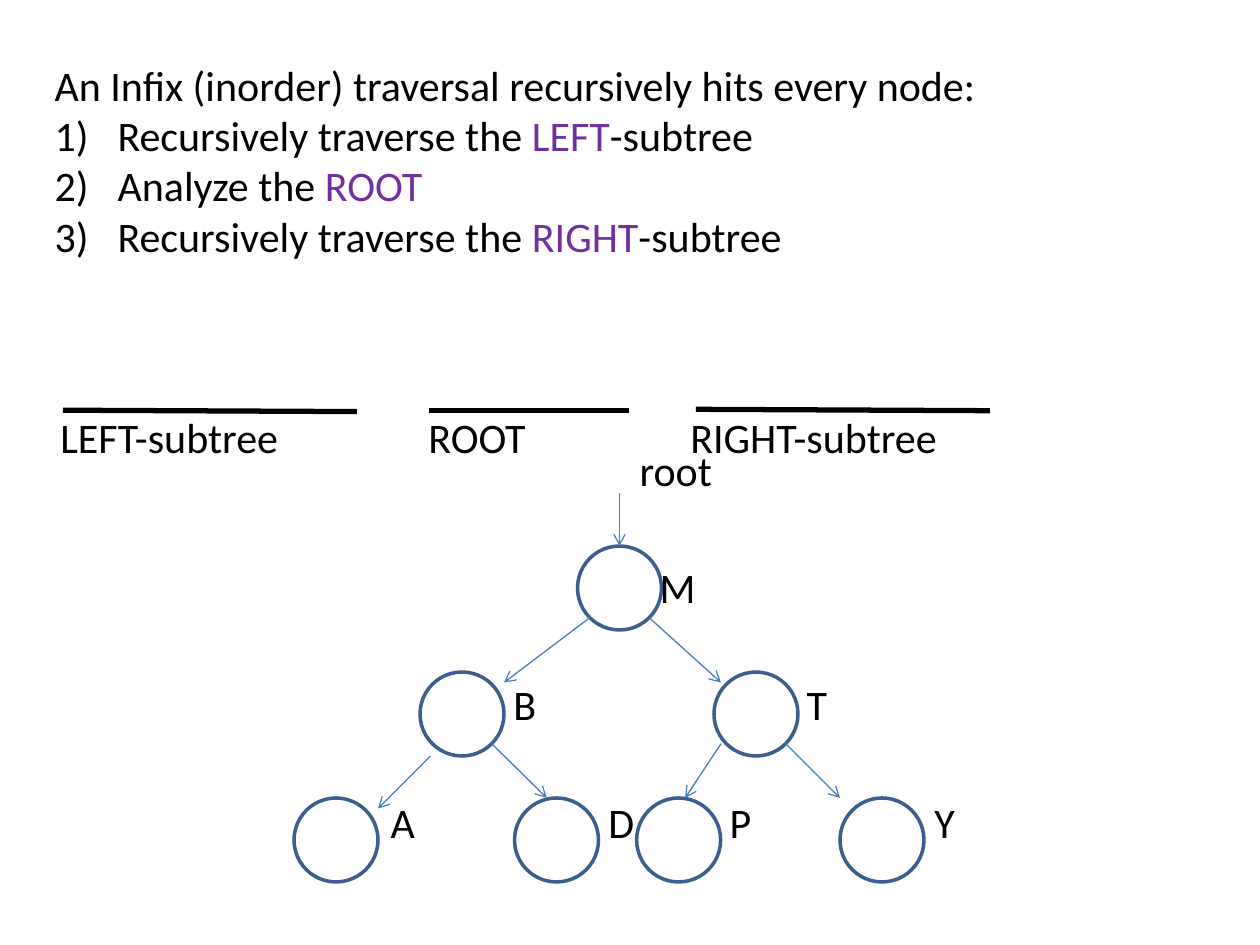
from lxml import etree
from pptx import Presentation
from pptx.dml.color import RGBColor
from pptx.enum.shapes import MSO_CONNECTOR, MSO_SHAPE
from pptx.oxml.ns import qn
from pptx.util import Pt

OVAL = MSO_SHAPE.OVAL
STRAIGHT = MSO_CONNECTOR.STRAIGHT
COLORS = {"text": "000000", "key": "7030A0", "ring": "3A5F8C", "edge": "4B7EBC"}
FONT = "Calibri"
SIZE = 24

deck = Presentation()
deck.slide_width, deck.slide_height = Pt(720), Pt(540)
slide = deck.slides.add_slide(deck.slide_layouts[6])
shapes = slide.shapes


def write(paras, left, top, width, height, size=SIZE, number_from=None):
    """Add a text box; each paragraph is a list of (text, color) runs."""
    box = shapes.add_textbox(Pt(left), Pt(top), Pt(width), Pt(height))
    frame = box.text_frame
    frame.word_wrap = True
    frame.margin_left = frame.margin_right = 0
    frame.margin_top = frame.margin_bottom = 0
    for i, runs in enumerate(paras):
        para = frame.paragraphs[0] if i == 0 else frame.add_paragraph()
        for text, color in runs:
            run = para.add_run()
            run.text = text
            run.font.name, run.font.size = FONT, Pt(size)
            run.font.color.rgb = RGBColor.from_string(COLORS[color])
        if number_from is not None and i >= number_from:
            props = para._p.get_or_add_pPr()
            props.set("marL", str(Pt(36)))
            props.set("indent", str(-Pt(36)))
            etree.SubElement(props, qn("a:buFont"), typeface="+mj-lt")
            etree.SubElement(props, qn("a:buAutoNum"), type="arabicParenR")


def draw_line(start, end, color, weight, arrow=False):
    """Add a straight line, with an open arrowhead at its end if asked."""
    line = shapes.add_connector(STRAIGHT, *[Pt(v) for v in (*start, *end)])
    line.line.color.rgb = RGBColor.from_string(COLORS[color])
    line.line.width = Pt(weight)
    if arrow:
        etree.SubElement(line.line._get_or_add_ln(), qn("a:tailEnd"), type="arrow")
    etree.SubElement(line._element.spPr, qn("a:effectLst"))


# Steps of the traversal
steps = [
    [("An Infix (inorder) traversal recursively hits every node:", "text")],
    [("Recursively traverse the ", "text"), ("LEFT", "key"), ("-subtree", "text")],
    [("Analyze the ", "text"), ("ROOT", "key")],
    [("Recursively traverse the ", "text"), ("RIGHT", "key"), ("-subtree", "text")],
]
write(steps, 31.2, 33.8, 670, 118, number_from=1)

# Blanks to fill in: label, label left, line start, line end
blanks = [
    ("LEFT-subtree", 34.5, (36, 234.4), (204, 235.2)),
    ("ROOT", 244.8, (245.2, 234.6), (359.2, 234.6)),
    ("RIGHT-subtree", 394.5, (397.6, 233.9), (565.6, 234.7)),
]
for label, left, start, end in blanks:
    write([[(label, "text")]], left, 235, 170, 30)
    draw_line(start, end, "text", 3)

# Tree nodes: label, level, circle left, label left
DIAM, GAP = 48, 72
LABEL_TOP, LABEL_GAP = 254, 67
nodes = [
    ("M", 0, 330, 377),
    ("B", 1, 240, 293.4), ("T", 1, 408, 461),
    ("A", 2, 168, 223.2), ("D", 2, 294, 347.7),
    ("P", 2, 363.8, 417), ("Y", 2, 480, 534),
]
for label, level, left, label_left in nodes:
    ring = shapes.add_shape(OVAL, Pt(left), Pt(312 + level * GAP), Pt(DIAM), Pt(DIAM))
    ring.shadow.inherit = False
    ring.fill.background()
    ring.line.color.rgb = RGBColor.from_string(COLORS["ring"])
    ring.line.width = Pt(2)
    write([[(label, "text")]], label_left, LABEL_TOP + (level + 1) * LABEL_GAP, 30, 30)
write([[("root", "text")]], 365.5, LABEL_TOP, 60, 30)

edges = [
    ((354, 282), (354, 312)),
    ((337, 353), (288, 390)), ((371, 353), (412, 390)),
    ((246, 432), (216, 462)), ((281, 425), (312.5, 456)),
    ((412, 425), (391.5, 456)), ((449, 425), (480, 456)),
]
for start, end in edges:
    draw_line(start, end, "edge", 0.75, arrow=True)

deck.save("out.pptx")
